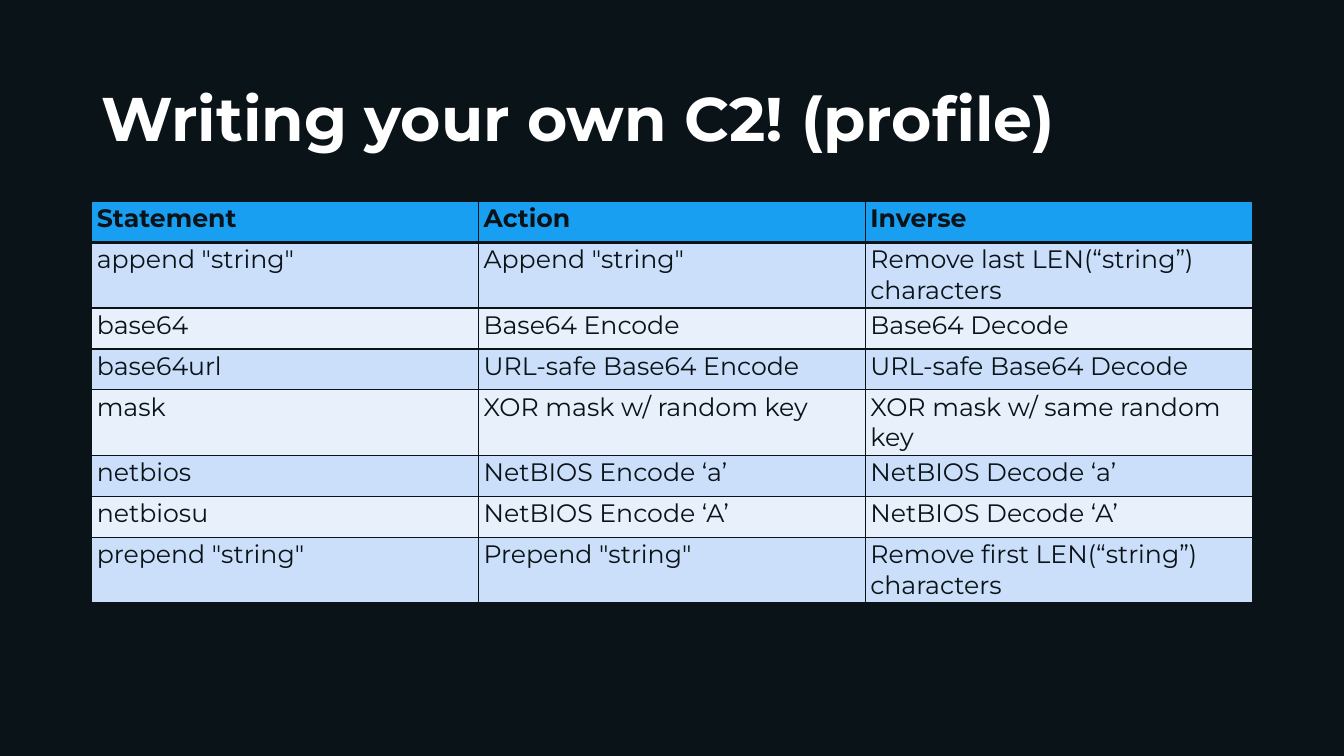
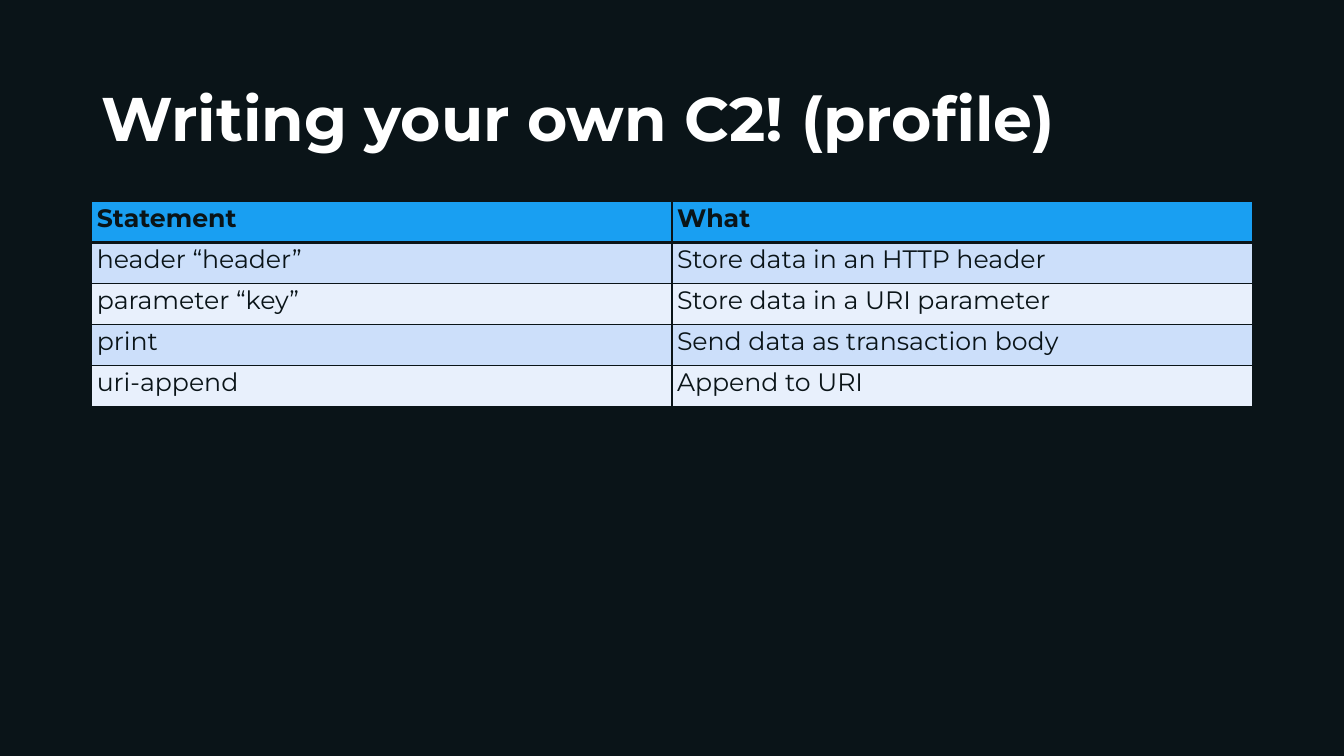
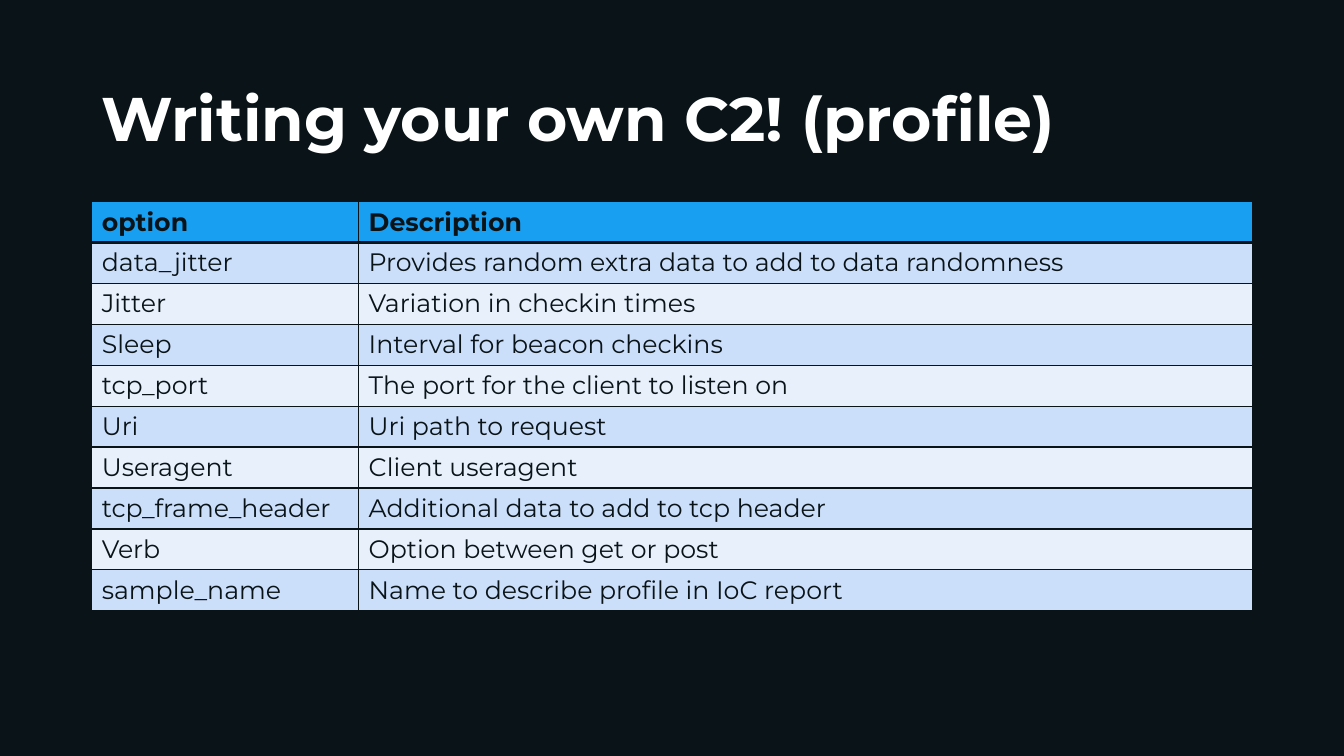
from dataclasses import dataclass

from lxml.etree import SubElement
from pptx import Presentation
from pptx.dml.color import RGBColor
from pptx.enum.text import MSO_ANCHOR, MSO_AUTO_SIZE, PP_ALIGN
from pptx.oxml.ns import qn
from pptx.util import Inches, Pt


@dataclass(frozen=True)
class Theme:
    font: str = "Montserrat"
    dark: str = "0A1418"
    title_color: str = "FFFFFF"
    header_fill: str = "199FF2"
    band_fills: tuple = ("CCDFFA", "E8F0FC")
    title_size: float = 44
    table_size: float = 18
    thin_line: float = 1
    header_line: float = 3


THEME = Theme()

# Content: column shares, cell insets (left, top, right, bottom) and rows
TITLE = "Writing your own C2! (profile)"
TIGHT = (0.05, 0.02, 0.02, 0.02)
ROOMY = (0.1, 0.05, 0.1, 0.05)
TABLES = [
    {
        "shares": (1 / 3, 1 / 3, 1 / 3),
        "insets": TIGHT,
        "rows": [
            ("Statement", "Action", "Inverse"),
            ('append "string"', 'Append "string"', "Remove last LEN(“string”) characters"),
            ("base64", "Base64 Encode", "Base64 Decode"),
            ("base64url", "URL-safe Base64 Encode", "URL-safe Base64 Decode"),
            ("mask", "XOR mask w/ random key", "XOR mask w/ same random key"),
            ("netbios", "NetBIOS Encode ‘a’", "NetBIOS Decode ‘a’"),
            ("netbiosu", "NetBIOS Encode ‘A’", "NetBIOS Decode ‘A’"),
            ('prepend "string"', 'Prepend "string"', "Remove first LEN(“string”) characters"),
        ],
    },
    {
        "shares": (0.5, 0.5),
        "insets": TIGHT,
        "rows": [
            ("Statement", "What"),
            ("header “header”", "Store data in an HTTP header"),
            ("parameter “key”", "Store data in a URI parameter"),
            ("print", "Send data as transaction body"),
            ("uri-append", "Append to URI"),
        ],
    },
    {
        "shares": (0.23, 0.77),
        "insets": ROOMY,
        "rows": [
            ("option", "Description"),
            ("data_jitter", "Provides random extra data to add to data randomness"),
            ("Jitter", "Variation in checkin times"),
            ("Sleep", "Interval for beacon checkins"),
            ("tcp_port", "The port for the client to listen on"),
            ("Uri", "Uri path to request"),
            ("Useragent", "Client useragent"),
            ("tcp_frame_header", "Additional data to add to tcp header"),
            ("Verb", "Option between get or post"),
            ("sample_name", "Name to describe profile in IoC report"),
        ],
    },
]

# Shared placement
LEFT, WIDTH = Inches(0.91), Inches(11.51)
TITLE_TOP, TITLE_HEIGHT = Inches(0.4), Inches(1.45)
TABLE_TOP, ROW_HEIGHT = Inches(2), Pt(29.25)


def style_font(paragraph, size, color, bold):
    font = paragraph.font
    font.name, font.size, font.bold = THEME.font, Pt(size), bold
    font.color.rgb = RGBColor.from_string(color)


def add_title(slide):
    title = slide.shapes.title
    title.left, title.top, title.width, title.height = LEFT, TITLE_TOP, WIDTH, TITLE_HEIGHT
    frame = title.text_frame
    frame.text = TITLE
    frame.word_wrap = True
    frame.auto_size = MSO_AUTO_SIZE.NONE
    frame.vertical_anchor = MSO_ANCHOR.MIDDLE
    paragraph = frame.paragraphs[0]
    paragraph.alignment = PP_ALIGN.LEFT
    paragraph.line_spacing = 1.1
    style_font(paragraph, THEME.title_size, THEME.title_color, True)


def set_borders(cell, top, bottom):
    properties = cell._tc.get_or_add_tcPr()
    widths = {"L": THEME.thin_line, "R": THEME.thin_line, "T": top, "B": bottom}
    for position, (side, width) in enumerate(widths.items()):
        line = SubElement(properties, qn(f"a:ln{side}"), w=str(Pt(width)))
        fill = SubElement(line, qn("a:solidFill"))
        SubElement(fill, qn("a:srgbClr"), val=THEME.dark)
        properties.insert(position, line)  # borders precede the cell fill


def style_cell(cell, row_index, insets):
    is_header = row_index == 0
    cell.margin_left, cell.margin_top, cell.margin_right, cell.margin_bottom = map(Inches, insets)
    cell.fill.solid()
    fill = THEME.header_fill if is_header else THEME.band_fills[(row_index - 1) % 2]
    cell.fill.fore_color.rgb = RGBColor.from_string(fill)
    style_font(cell.text_frame.paragraphs[0], THEME.table_size, THEME.dark, is_header)
    set_borders(
        cell,
        top=THEME.header_line if row_index == 1 else THEME.thin_line,
        bottom=THEME.header_line if is_header else THEME.thin_line,
    )


def add_grid(slide, shares, insets, rows):
    table = slide.shapes.add_table(
        len(rows), len(shares), LEFT, TABLE_TOP, WIDTH, ROW_HEIGHT * len(rows)
    ).table
    for column, share in zip(table.columns, shares):
        column.width = round(WIDTH * share)
    for row_index, texts in enumerate(rows):
        table.rows[row_index].height = ROW_HEIGHT
        for cell, text in zip(table.rows[row_index].cells, texts):
            cell.text = text
            style_cell(cell, row_index, insets)


def main():
    presentation = Presentation()
    presentation.slide_width, presentation.slide_height = Inches(13.33), Inches(7.5)
    background = presentation.slide_master.background.fill
    background.solid()
    background.fore_color.rgb = RGBColor.from_string(THEME.dark)

    title_only = presentation.slide_layouts.get_by_name("Title Only")
    for content in TABLES:
        slide = presentation.slides.add_slide(title_only)
        add_title(slide)
        add_grid(slide, **content)
    presentation.save("out.pptx")


if __name__ == "__main__":
    main()
